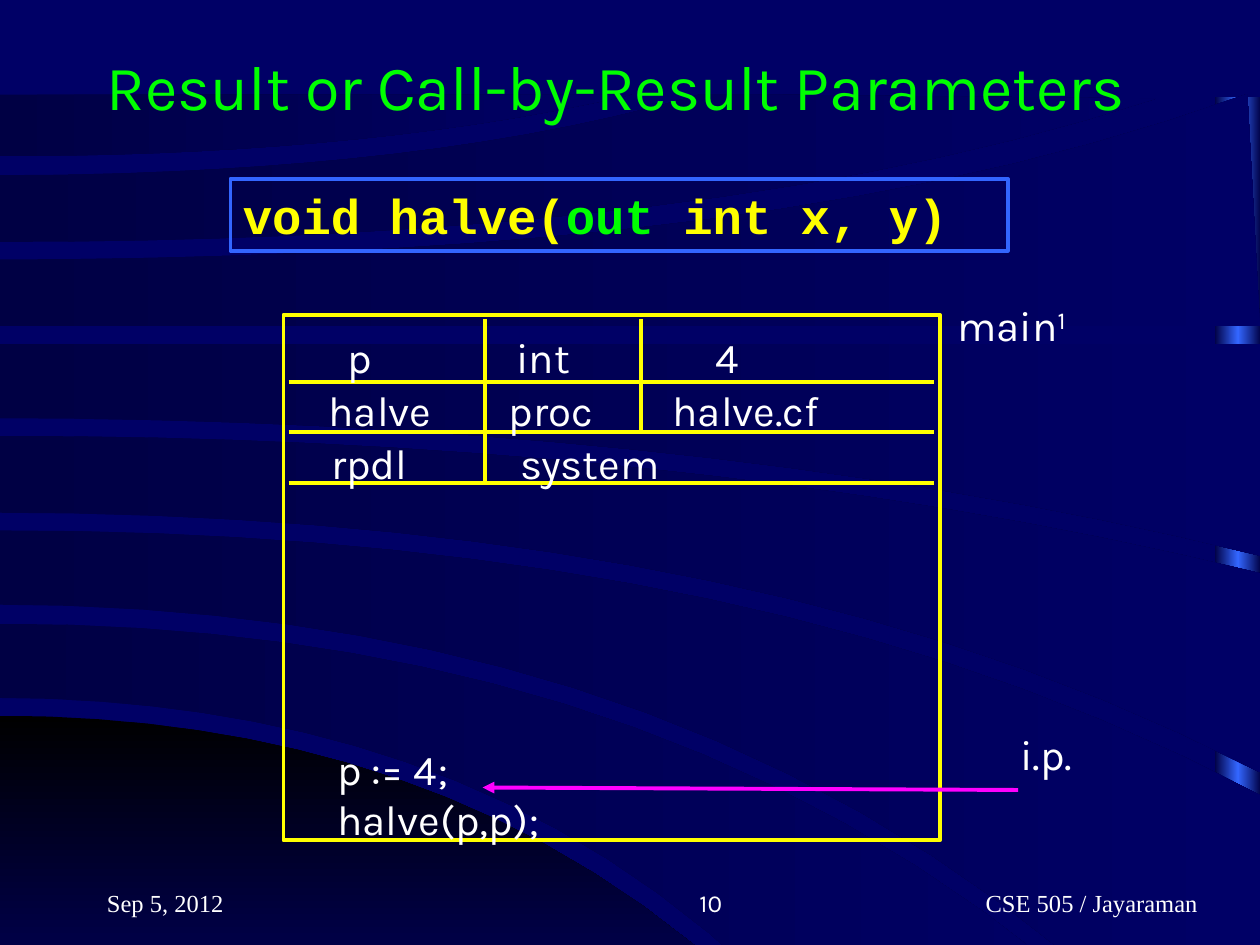
"""Build the slide on result parameters with its activation record diagram."""
from lxml.etree import SubElement
from pptx import Presentation
from pptx.dml.color import RGBColor
from pptx.enum.shapes import MSO_CONNECTOR as Connector, MSO_SHAPE as Shape
from pptx.enum.text import MSO_ANCHOR as Anchor, PP_ALIGN as Align
from pptx.oxml import parse_xml
from pptx.oxml.ns import nsdecls, qn
from pptx.util import Inches, Pt

color = RGBColor.from_string
WHITE, YELLOW, GREEN, BLUE, MAGENTA = "FFFFFF", "FFFF00", "00FF00", "3366FF", "FF00FF"
BLACK, NIGHT, NAVY = "000000", "000044", "000066"


def add_text(box, lines, size=24, font="Karla", fill=WHITE, bold=False,
             align=Align.LEFT, anchor=Anchor.TOP):
    frame = box.text_frame
    frame.word_wrap = True
    frame.vertical_anchor = anchor
    for index, line in enumerate(lines):
        para = frame.paragraphs[0] if index == 0 else frame.add_paragraph()
        para.alignment = align
        for words, run_fill, baseline in line:
            span = para.add_run()
            span.text = words
            span.font.size = Pt(size)
            span.font.name = font
            span.font.bold = bold
            span.font.color.rgb = color(run_fill or fill)
            if baseline:
                span._r.get_or_add_rPr().set("baseline", str(baseline * 1000))


def paint_gradient(shape, hexes, angle):
    shape.shadow.inherit = False
    shape.line.fill.background()
    stops = "".join(
        f'<a:gs pos="{100000 * index // (len(hexes) - 1)}"><a:srgbClr val="{value}"/></a:gs>'
        for index, value in enumerate(hexes))
    gradient = parse_xml(
        f'<a:gradFill {nsdecls("a")} rotWithShape="1"><a:gsLst>{stops}</a:gsLst>'
        f'<a:lin ang="{angle * 60000}" scaled="0"/></a:gradFill>')
    shape._element.spPr.find(qn("a:ln")).addprevious(gradient)


deck = Presentation()
deck.slide_width, deck.slide_height = Inches(10), Inches(7.5)
page = deck.slides.add_slide(deck.slide_layouts[6])
shapes = page.shapes
page.background.fill.solid()
page.background.fill.fore_color.rgb = color(NAVY)

strip = shapes.add_shape(Shape.RECTANGLE, Inches(9.64), Inches(0.77), Inches(0.37), Inches(7.5))
paint_gradient(strip, [NIGHT, BLUE, NIGHT], 0)

STEPS = 16
bands = [
    ((5.68, 4.6, 4.6, 6.29), (8.27, 0, 0, 6.29), BLACK, 90),
    ((4.95, 2.9, 1.4, 8.94), (5.54, 4.4, 4.7, 6.43), NIGHT, 0),
    ((4.21, 1.55, 0.55, 10), (4.8, 2.9, 1.35, 9.1), NIGHT, 0),
    ((3.46, 0.95, 0.14, 10), (4.07, 1.53, 0.53, 10), NIGHT, 0),
    ((2.73, 0, 0, 10), (3.32, 0.94, 0.15, 10), NIGHT, 0),
    ((2.06, -0.85, -0.5, 9.9), (2.59, 0, 0, 10), NIGHT, 0),
    ((1.39, -1.55, -1.7, 5.57), (1.92, -0.93, -0.5, 9.18), NIGHT, 0),
    ((0.75, 0, 0, 5.02), (1.24, -1.57, -1.5, 5.02), NIGHT, 0),
]
for upper, lower, dark, angle in bands:
    edges = []
    for start, square, fourth, reach in (upper, lower):
        across = [reach * step / STEPS for step in range(STEPS + 1)]
        edges.append([
            (Inches(x), Inches(start + square * (x / 10) ** 2 + fourth * (x / 10) ** 4))
            for x in across])
    if lower[3] < upper[3] and angle == 0:
        edges[1].append((Inches(upper[3]), Inches(8.25)))
    outline = edges[0] + edges[1][::-1]
    builder = shapes.build_freeform(*outline[0])
    builder.add_line_segments(outline[1:], close=True)
    paint_gradient(builder.convert_to_shape(), [dark, NAVY], angle)

frames = []
for left, top, width, height, stroke in [
        (2.25, 2.5, 5.21, 4.17, YELLOW), (1.83, 1.42, 6.17, 0.57, BLUE)]:
    frame_box = shapes.add_shape(
        Shape.RECTANGLE, Inches(left), Inches(top), Inches(width), Inches(height))
    frame_box.shadow.inherit = False
    frame_box.fill.background()
    frame_box.line.color.rgb = color(stroke)
    frame_box.line.width = Pt(2.25)
    frames.append(frame_box)
record, signature = frames
add_text(signature, [[("void halve(", None, 0), ("out", GREEN, 0), (" int x, y)", None, 0)]],
         size=28, font="Courier New", fill=YELLOW, bold=True, anchor=Anchor.BOTTOM)

row_rules = [(2.29, y, 7.41, y, YELLOW) for y in (3.03, 3.43, 3.83)]
column_rules = [(x, 2.53, x, bottom, YELLOW) for x, bottom in ((3.85, 3.83), (5.09, 3.43))]
pointer = (8.08, 6.27, 3.83, 6.25, MAGENTA)
for *ends, stroke in [*row_rules, *column_rules, pointer]:
    rule = shapes.add_connector(Connector.STRAIGHT, *map(Inches, ends))
    rule.line.color.rgb = color(stroke)
    rule.line.width = Pt(2.25)
    if stroke == MAGENTA:
        SubElement(rule.line._get_or_add_ln(), qn("a:tailEnd"), type="triangle")
    SubElement(rule._element.spPr, qn("a:effectLst"))

footer = {"size": 14, "font": "Times New Roman", "anchor": Anchor.BOTTOM}
labels = [
    (0.75, 0.33, 8.5, 0.7, ["Result or Call-by-Result Parameters"], {"size": 36, "fill": GREEN}),
    (2.66, 2.58, 1.25, 0.5, ["p"], {}),
    (4, 2.58, 1.25, 0.5, ["int"], {}),
    (5.58, 2.58, 1.25, 0.5, ["4"], {}),
    (2.51, 3, 2.24, 0.5, ["halve"], {}),
    (3.94, 3, 1.56, 0.5, ["proc"], {}),
    (5.24, 3, 2.33, 0.5, ["halve.cf"], {}),
    (2.53, 3.42, 1.55, 0.5, ["rpdl"], {}),
    (4.03, 3.42, 2.48, 0.5, ["system"], {}),
    (8, 5.73, 0.67, 0.5, ["i.p."], {}),
    (2.58, 5.85, 1.82, 0.9, ["p := 4;", "halve(p,p);"], {}),
    (0.75, 6.83, 2.08, 0.5, ["Sep 5, 2012"], footer),
    (7.58, 6.83, 2.17, 0.5, ["CSE 505 / Jayaraman"], {**footer, "align": Align.CENTER}),
    (3.75, 6.83, 2.08, 0.5, ["10"], {**footer, "font": "Karla", "align": Align.RIGHT}),
]
for left, top, width, height, lines, style in labels:
    box = shapes.add_textbox(Inches(left), Inches(top), Inches(width), Inches(height))
    add_text(box, [[(line, None, 0)] for line in lines], **style)

main_box = shapes.add_textbox(Inches(7.5), Inches(2.33), Inches(2.04), Inches(0.5))
add_text(main_box, [[("main", None, 0), ("1", None, 30)]])

deck.save("out.pptx")
